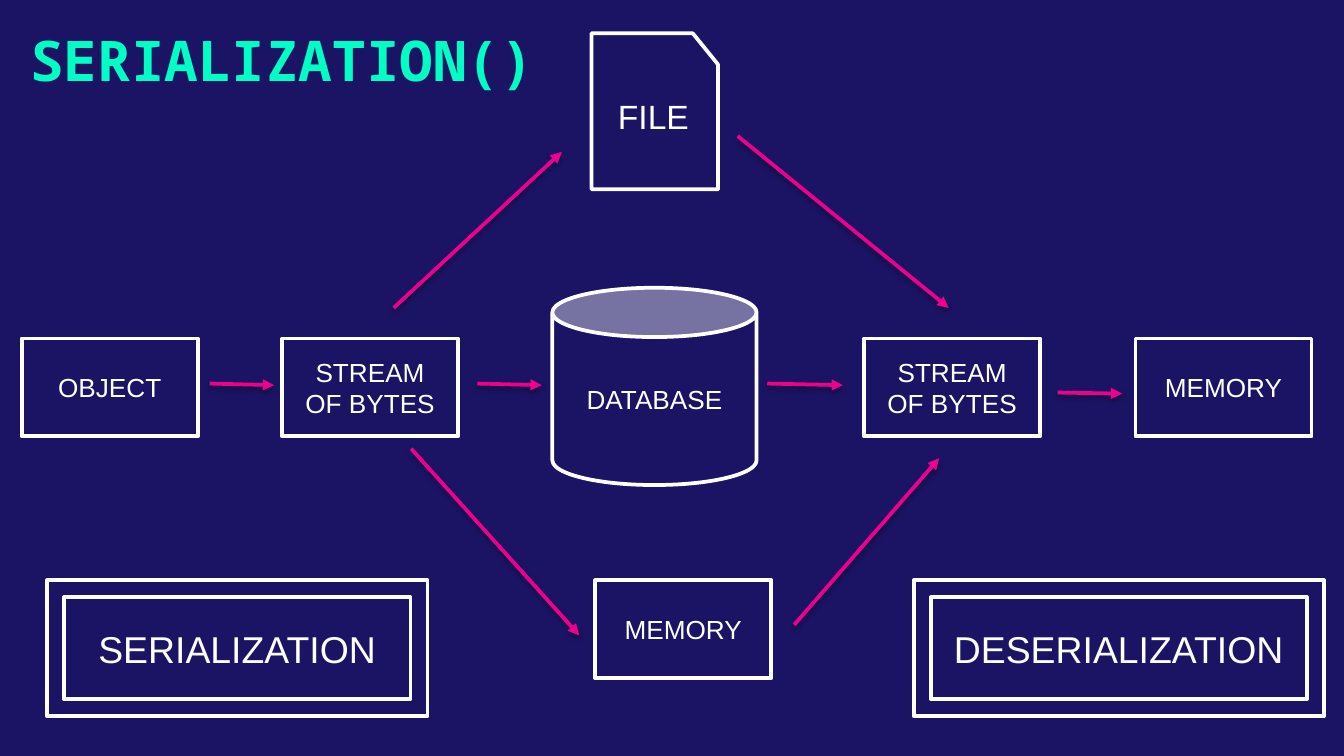
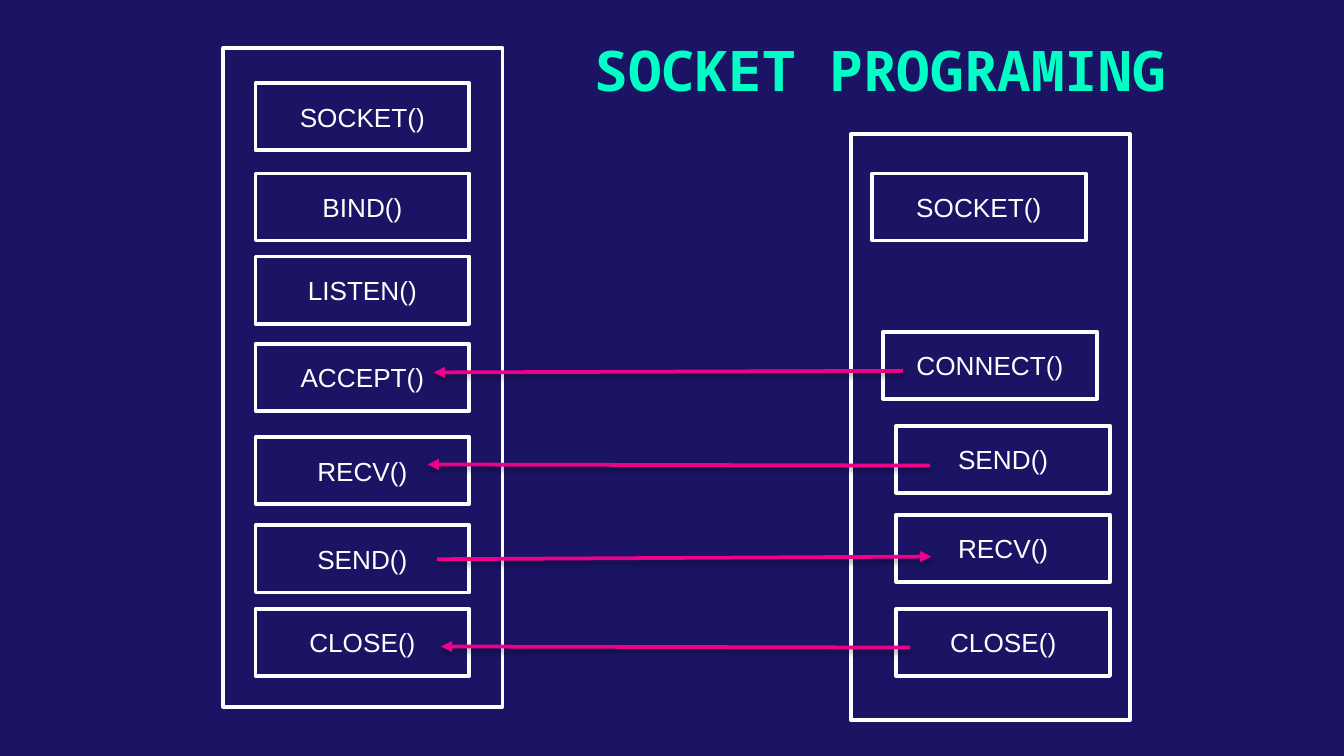
"""Build two diagram slides on serialization and socket programming."""
import pptx
import pptx.dml.color
import pptx.enum.shapes
import pptx.enum.text
import pptx.oxml
import pptx.util
from lxml import etree

Cm = pptx.util.Cm
MSO = pptx.enum.shapes.MSO_SHAPE
ALIGN = pptx.enum.text.PP_ALIGN
ANCHOR = pptx.enum.text.MSO_ANCHOR

NAVY, WHITE, PINK, MINT = "1B1464", "FFFFFF", "EC008C", "00FFC5"
NS = "http://schemas.openxmlformats.org/drawingml/2006/main"
SHADOW = (
    f'<a:effectLst xmlns:a="{NS}">'
    '<a:outerShdw blurRad="40000" dist="20000" dir="5400000" rotWithShape="0">'
    '<a:srgbClr val="000000"><a:alpha val="38000"/></a:srgbClr>'
    '</a:outerShdw></a:effectLst>'
)


def rgb(value):
    return pptx.dml.color.RGBColor.from_string(value)


def write(tf, text, size=14, font="Arial", color=WHITE, bold=False,
          align=ALIGN.CENTER, anchor=ANCHOR.MIDDLE):
    tf.word_wrap = True
    tf.auto_size = pptx.enum.text.MSO_AUTO_SIZE.NONE
    tf.vertical_anchor = anchor
    p = tf.paragraphs[0]
    p.alignment = align
    r = p.add_run()
    r.text = text
    r.font.size = pptx.util.Pt(size)
    r.font.name = font
    r.font.bold = bold
    r.font.color.rgb = rgb(color)


class Deck:
    def __init__(self):
        self.prs = pptx.Presentation()
        self.prs.slide_width = Cm(25.4)
        self.prs.slide_height = Cm(14.29)
        fill = self.prs.slide_master.background.fill
        fill.solid()
        fill.fore_color.rgb = rgb(NAVY)
        self.s = None

    def slide(self, title, x, y):
        self.s = self.prs.slides.add_slide(self.prs.slide_layouts[5])
        sp = self.s.shapes.title
        sp.left, sp.top, sp.width, sp.height = Cm(x), Cm(y), Cm(18.29), Cm(1.85)
        write(sp.text_frame, title, size=30, font="Noto Sans Mono", color=MINT, bold=True)

    def shape(self, x, y, w, h, text="", kind=MSO.RECTANGLE, size=14, fill=NAVY, turn=0):
        sp = self.s.shapes.add_shape(kind, Cm(x), Cm(y), Cm(w), Cm(h))
        sp.shadow.inherit = False
        sp.rotation = turn
        if fill:
            sp.fill.solid()
            sp.fill.fore_color.rgb = rgb(fill)
        else:
            sp.fill.background()
        sp.line.color.rgb = rgb(WHITE)
        sp.line.width = pptx.util.Pt(2)
        if text:
            write(sp.text_frame, text, size=size)

    def label(self, x, y, w, h, text):
        sp = self.s.shapes.add_textbox(Cm(x), Cm(y), Cm(w), Cm(h))
        write(sp.text_frame, text, size=18, align=ALIGN.LEFT, anchor=ANCHOR.TOP)

    def arrow(self, x1, y1, x2, y2):
        cx = self.s.shapes.add_connector(
            pptx.enum.shapes.MSO_CONNECTOR.STRAIGHT, Cm(x1), Cm(y1), Cm(x2), Cm(y2))
        cx.line.color.rgb = rgb(PINK)
        cx.line.width = pptx.util.Pt(2)
        etree.SubElement(cx.line._get_or_add_ln(), f"{{{NS}}}tailEnd", type="triangle")
        cx._element.spPr.append(pptx.oxml.parse_xml(SHADOW))


def serialization(deck):
    deck.slide("SERIALIZATION()", -3.81, 0.2)
    row = 6.4
    for x, y, text in [
        (0.41, row, "OBJECT"),
        (5.33, row, "STREAM OF BYTES"),
        (16.33, row, "STREAM OF BYTES"),
        (21.46, row, "MEMORY"),
        (11.25, 10.97, "MEMORY"),
    ]:
        deck.shape(x, y, 3.33, 1.85, text)
    deck.shape(10.44, 5.44, 3.86, 3.73, "DATABASE", kind=MSO.CAN)
    deck.shape(10.9, 0.91, 2.95, 2.39, kind=MSO.FLOWCHART_CARD, turn=90)
    deck.label(11.43, 1.68, 1.9, 1.63, "FILE")
    for ends in [
        (7.44, 5.82, 10.62, 2.87),
        (3.96, 7.25, 5.18, 7.28),
        (15.01, 11.81, 17.75, 8.66),
        (9.02, 7.25, 10.24, 7.28),
        (7.77, 8.48, 10.95, 12.01),
        (13.94, 2.57, 17.93, 5.82),
        (14.5, 7.25, 15.93, 7.28),
        (19.99, 7.42, 21.21, 7.44),
    ]:
        deck.arrow(*ends)
    for x, w, text in [(0.89, 7.19, "SERIALIZATION"), (17.27, 7.75, "DESERIALIZATION")]:
        deck.shape(x, 10.97, w, 2.57, text, kind=MSO.FRAME, size=20)


def sockets(deck):
    deck.slide("SOCKET PROGRAMING", 7.49, 0.38)
    server_x, client_x = 4.83, 16.94
    server = [
        (server_x, 1.57, "SOCKET()"),
        (server_x, 3.28, "BIND()"),
        (server_x, 4.85, "LISTEN()"),
        (server_x, 6.5, "ACCEPT()"),
        (server_x, 8.26, "RECV()"),
        (server_x, 9.93, "SEND()"),
        (server_x, 11.51, "CLOSE()"),
    ]
    client = [
        (16.48, 3.28, "SOCKET()"),
        (16.69, 6.27, "CONNECT()"),
        (client_x, 8.05, "SEND()"),
        (client_x, 9.73, "RECV()"),
        (client_x, 11.51, "CLOSE()"),
    ]
    for x, y, h, steps in [(4.22, 0.91, 12.45, server), (16.08, 2.54, 11.07, client)]:
        deck.shape(x, y, 5.28, h, fill=None)
        for step_x, step_y, text in steps:
            deck.shape(step_x, step_y, 4.04, 1.27, text)
    for ends in [
        (17.07, 7.01, 8.2, 7.04),
        (17.58, 8.8, 8.08, 8.78),
        (8.26, 10.57, 17.6, 10.52),
        (17.2, 12.24, 8.33, 12.22),
    ]:
        deck.arrow(*ends)


def main():
    deck = Deck()
    serialization(deck)
    sockets(deck)
    deck.prs.save("out.pptx")


if __name__ == "__main__":
    main()
